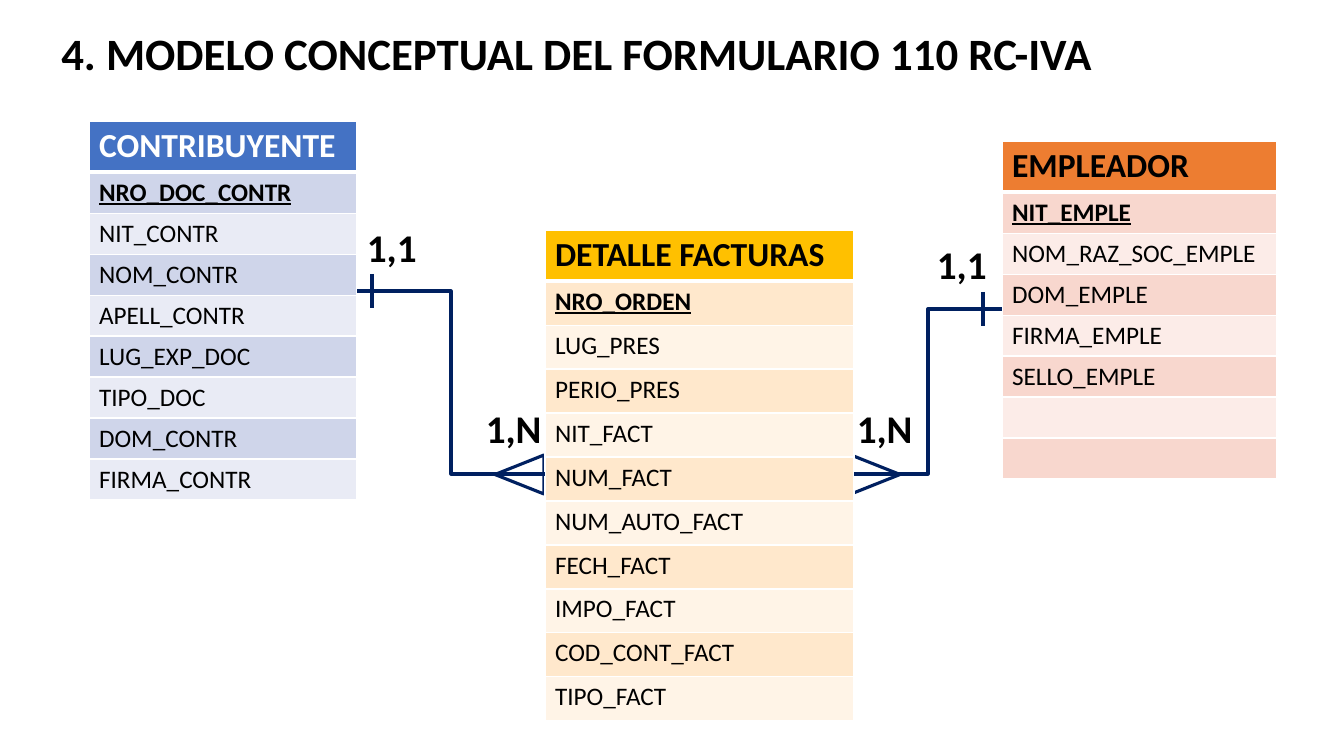
import pptx
import pptx.util
import pptx.dml.color
import pptx.enum.shapes
import pptx.enum.text
import pptx.oxml
import pptx.oxml.ns
import lxml.etree

RGB = pptx.dml.color.RGBColor
KIND = pptx.enum.shapes.MSO_CONNECTOR
NAVY = RGB(0x00, 0x20, 0x60)
BLACK = RGB(0, 0, 0)
WHITE = RGB(255, 255, 255)
BLUES = RGB(0x44, 0x72, 0xC4), RGB(0xCF, 0xD5, 0xEA), RGB(0xE9, 0xEB, 0xF5)
REDS = RGB(0xED, 0x7D, 0x31), RGB(0xF8, 0xD7, 0xCE), RGB(0xFC, 0xEC, 0xE8)
GOLDS = RGB(0xFF, 0xC0, 0x00), RGB(0xFF, 0xE8, 0xCC), RGB(0xFF, 0xF4, 0xE7)
HEAD = 50
FONT = "Calibri"


def px(*vals):
    return [pptx.util.Emu(round(val * 914400 / 100.8)) for val in vals]


def style(font, size, color=BLACK, bold=True):
    font.name = FONT
    font.size = pptx.util.Pt(size)
    font.color.rgb = color
    font.bold = bold


def edge(cell, side, width):
    props = cell._tc.get_or_add_tcPr()
    line = lxml.etree.SubElement(props, pptx.oxml.ns.qn("a:ln" + side))
    line.set("w", str(pptx.util.Pt(width)))
    fill = lxml.etree.SubElement(line, pptx.oxml.ns.qn("a:solidFill"))
    tone = lxml.etree.SubElement(fill, pptx.oxml.ns.qn("a:srgbClr"))
    tone.set("val", str(WHITE))


def title(slide, text, box):
    shape = slide.shapes.title
    shape.left, shape.top, shape.width, shape.height = px(*box)
    shape.text_frame.text = text
    para = shape.text_frame.paragraphs[0]
    para.alignment = pptx.enum.text.PP_ALIGN.CENTER
    style(para.font, 32)


def entity(slide, box, step, names, colors, ink=BLACK):
    left, top, width = box
    high = HEAD + step * (len(names) - 1)
    frame = slide.shapes.add_table(len(names), 1, *px(left, top, width, high))
    table = frame.table
    for num, name in enumerate(names):
        table.rows[num].height = px(step if num else HEAD)[0]
        cell = table.cell(num, 0)
        for side in "LRTB":
            thick = (num == 0 and side == "B") or (num == 1 and side == "T")
            edge(cell, side, 3 if thick else 1)
        cell.fill.solid()
        cell.fill.fore_color.rgb = colors[2 - num % 2] if num else colors[0]
        cell.text = name
        font = cell.text_frame.paragraphs[0].font
        style(font, 18 if num else 24, BLACK if num else ink, num < 2)
        font.underline = num == 1


def wire(slide, kind, start, end):
    line = slide.shapes.add_connector(kind, *px(*start, *end))
    line.line.color.rgb = NAVY
    line.line.width = pptx.util.Pt(2.25)
    lxml.etree.SubElement(line._element.spPr, pptx.oxml.ns.qn("a:effectLst"))


def foot(slide, box, turn):
    shape = slide.shapes.add_shape(
        pptx.enum.shapes.MSO_SHAPE.ISOSCELES_TRIANGLE, *px(*box))
    shape.rotation = turn
    shape.shadow.inherit = False
    shape.fill.background()
    shape.line.color.rgb = NAVY
    shape.line.width = pptx.util.Pt(2.25)


def label(slide, text, box):
    frame = slide.shapes.add_textbox(*px(*box)).text_frame
    frame.word_wrap = False
    frame.auto_size = pptx.enum.text.MSO_AUTO_SIZE.SHAPE_TO_FIT_TEXT
    frame.text = text
    style(frame.paragraphs[0].font, 28)


def link(slide, start, end, tick):
    wire(slide, KIND.ELBOW, start, end)
    wire(slide, KIND.STRAIGHT, (tick, start[1] - 17), (tick, start[1] + 17))


def model(slide):
    foot(slide, (856, 450, 39, 49), 90)
    foot(slide, (500, 450, 39, 49), 270)
    entity(slide, (89, 121, 268), 41, [
        "CONTRIBUYENTE", "NRO_DOC_CONTR", "NIT_CONTR", "NOM_CONTR",
        "APELL_CONTR", "LUG_EXP_DOC", "TIPO_DOC", "DOM_CONTR",
        "FIRMA_CONTR"], BLUES, WHITE)
    entity(slide, (1002, 141, 275), 41, [
        "EMPLEADOR", "NIT_EMPLE", "NOM_RAZ_SOC_EMPLE", "DOM_EMPLE",
        "FIRMA_EMPLE", "SELLO_EMPLE", "", ""], REDS)
    entity(slide, (545, 230, 309), 44, [
        "DETALLE FACTURAS", "NRO_ORDEN", "LUG_PRES", "PERIO_PRES",
        "NIT_FACT", "NUM_FACT", "NUM_AUTO_FACT", "FECH_FACT", "IMPO_FACT",
        "COD_CONT_FACT", "TIPO_FACT"], GOLDS)
    link(slide, (357, 291), (545, 474), 372)
    link(slide, (1002, 309), (854, 474), 983)
    label(slide, "1,1", (357, 218, 70, 57))
    label(slide, "1,N", (476, 399, 77, 57))
    label(slide, "1,N", (847, 399, 77, 57))
    label(slide, "1,1", (927, 235, 70, 57))


deck = pptx.Presentation()
deck.slide_width, deck.slide_height = px(1344, 756)
page = deck.slides.add_slide(deck.slide_layouts[5])
model(page)
title(page, "4. MODELO CONCEPTUAL DEL FORMULARIO 110 RC-IVA",
      (41, 20, 1072, 65))
deck.save("out.pptx")
